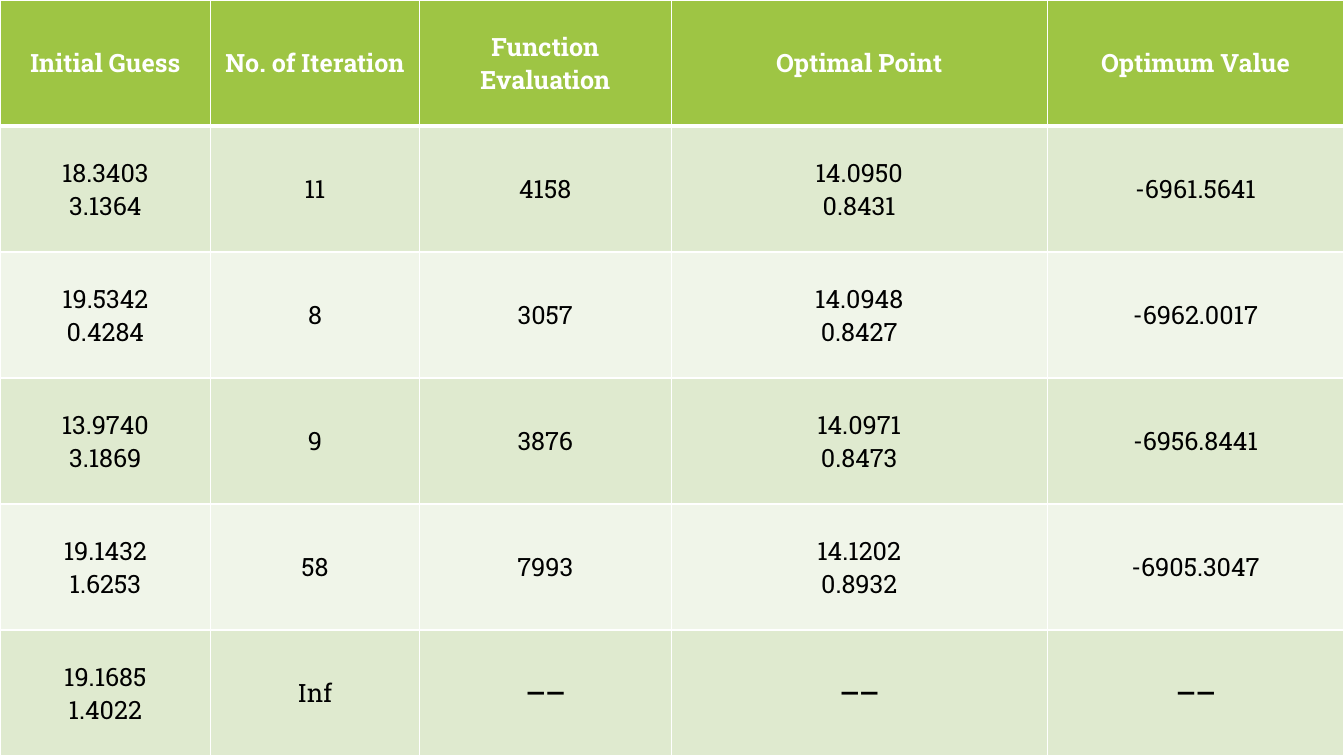
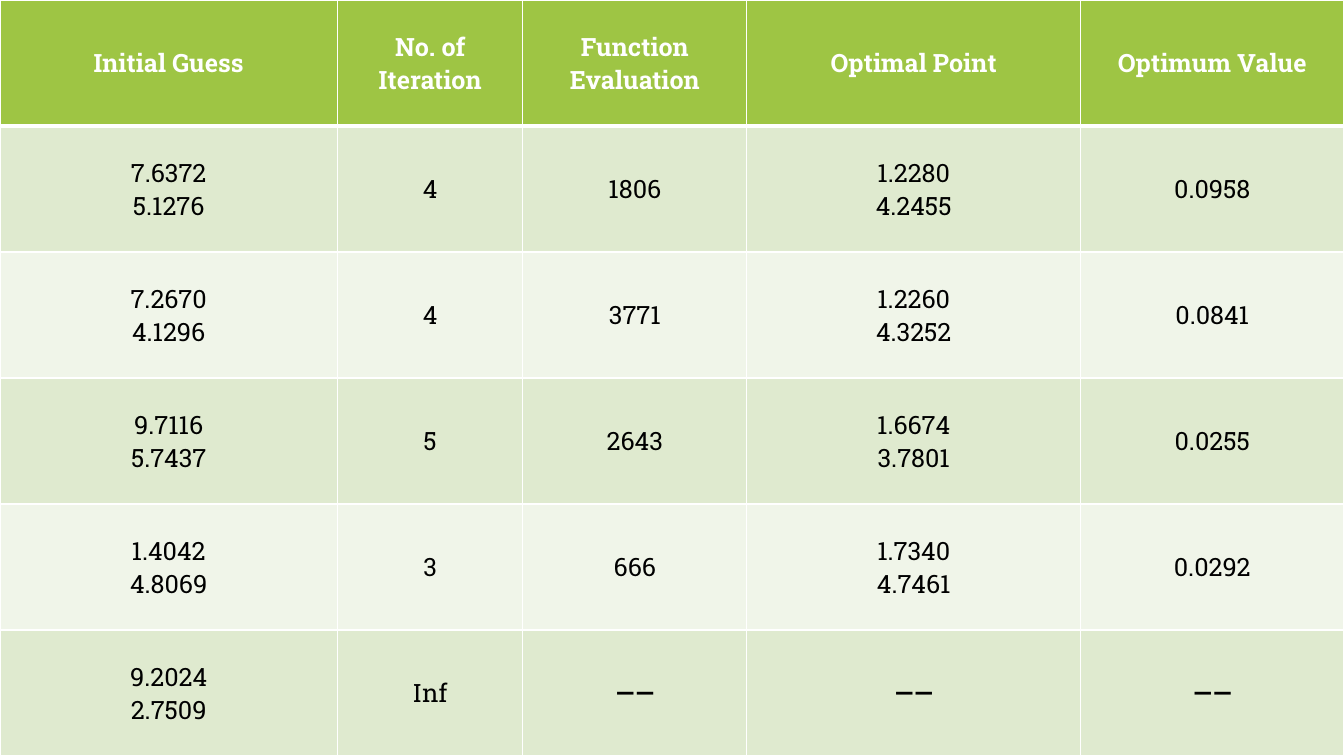
from lxml.etree import SubElement
from pptx import Presentation
from pptx.dml.color import RGBColor
from pptx.enum.text import MSO_ANCHOR, PP_ALIGN
from pptx.oxml.ns import qn
from pptx.util import Pt

WIDTH, HEIGHT = 960, 540
DASH = "——"
HEADINGS = ("Initial Guess", "No. of Iteration", "Function Evaluation",
            "Optimal Point", "Optimum Value")

FIRST_WIDTHS = (150.5, 149, 180, 268.5, 212)
FIRST_RUNS = (
    ("18.3403\n3.1364", "11", "4158", "14.0950\n0.8431", "-6961.5641"),
    ("19.5342\n0.4284", "8", "3057", "14.0948\n0.8427", "-6962.0017"),
    ("13.9740\n3.1869", "9", "3876", "14.0971\n0.8473", "-6956.8441"),
    ("19.1432\n1.6253", "58", "7993", "14.1202\n0.8932", "-6905.3047"),
    ("19.1685\n1.4022", "Inf", DASH, DASH, DASH),
)

SECOND_WIDTHS = (241, 132.5, 160, 238.5, 188)
SECOND_RUNS = (
    ("7.6372\n5.1276", "4", "1806", "1.2280\n4.2455", "0.0958"),
    ("7.2670\n4.1296", "4", "3771", "1.2260\n4.3252", "0.0841"),
    ("9.7116\n5.7437", "5", "2643", "1.6674\n3.7801", "0.0255"),
    ("1.4042\n4.8069", "3", "666", "1.7340\n4.7461", "0.0292"),
    ("9.2024\n2.7509", "Inf", DASH, DASH, DASH),
)


class ResultsDeck:
    """Holds the shared style and the current slide."""

    FONT = "Roboto Slab"
    SIZE = 18
    COLORS = {
        "background": "000000",
        "header": "9EC544",
        "odd": "DFEACF",
        "even": "F0F5E9",
        "heading": "FFFFFF",
        "value": "000000",
        "grid": "FFFFFF",
    }

    def __init__(self):
        self.deck = Presentation()
        self.deck.slide_width = Pt(WIDTH)
        self.deck.slide_height = Pt(HEIGHT)
        self.slide = None

    def color(self, role):
        return RGBColor.from_string(self.COLORS[role])

    def add_slide(self):
        self.slide = self.deck.slides.add_slide(self.deck.slide_layouts[6])
        background = self.slide.background.fill
        background.solid()
        background.fore_color.rgb = self.color("background")

    def add_results(self, widths, runs):
        rows = (HEADINGS, *runs)
        results = self.slide.shapes.add_table(
            len(rows), len(widths), 0, 0, Pt(WIDTH), Pt(HEIGHT)).table
        results.horz_banding = False
        for column, width in zip(results.columns, widths):
            column.width = Pt(width)
        for index, values in enumerate(rows):
            results.rows[index].height = Pt(HEIGHT / len(rows))
            for cell, value in zip(results.rows[index].cells, values):
                self.fill_cell(cell, value, index)

    def fill_cell(self, cell, value, index):
        is_header = index == 0
        band = "header" if is_header else "odd" if index % 2 else "even"
        self.draw_borders(cell, top=3 if index == 1 else 1,
                          bottom=3 if is_header else 1)
        cell.fill.solid()
        cell.fill.fore_color.rgb = self.color(band)
        cell.vertical_anchor = MSO_ANCHOR.MIDDLE
        for number, line in enumerate(value.split("\n")):
            frame = cell.text_frame
            paragraph = frame.add_paragraph() if number else frame.paragraphs[0]
            paragraph.alignment = PP_ALIGN.CENTER
            run = paragraph.add_run()
            run.text = line
            run.font.name = self.FONT
            run.font.size = Pt(self.SIZE)
            run.font.bold = is_header or value == DASH
            run.font.color.rgb = self.color("heading" if is_header else "value")

    def draw_borders(self, cell, top, bottom):
        properties = cell._tc.get_or_add_tcPr()
        for side, weight in (("L", 1), ("R", 1), ("T", top), ("B", bottom)):
            border = SubElement(properties, qn(f"a:ln{side}"), w=str(Pt(weight)))
            paint = SubElement(border, qn("a:solidFill"))
            SubElement(paint, qn("a:srgbClr"), val=self.COLORS["grid"])


def main():
    results_deck = ResultsDeck()
    for widths, runs in ((FIRST_WIDTHS, FIRST_RUNS), (SECOND_WIDTHS, SECOND_RUNS)):
        results_deck.add_slide()
        results_deck.add_results(widths, runs)
    results_deck.deck.save("out.pptx")


if __name__ == "__main__":
    main()
